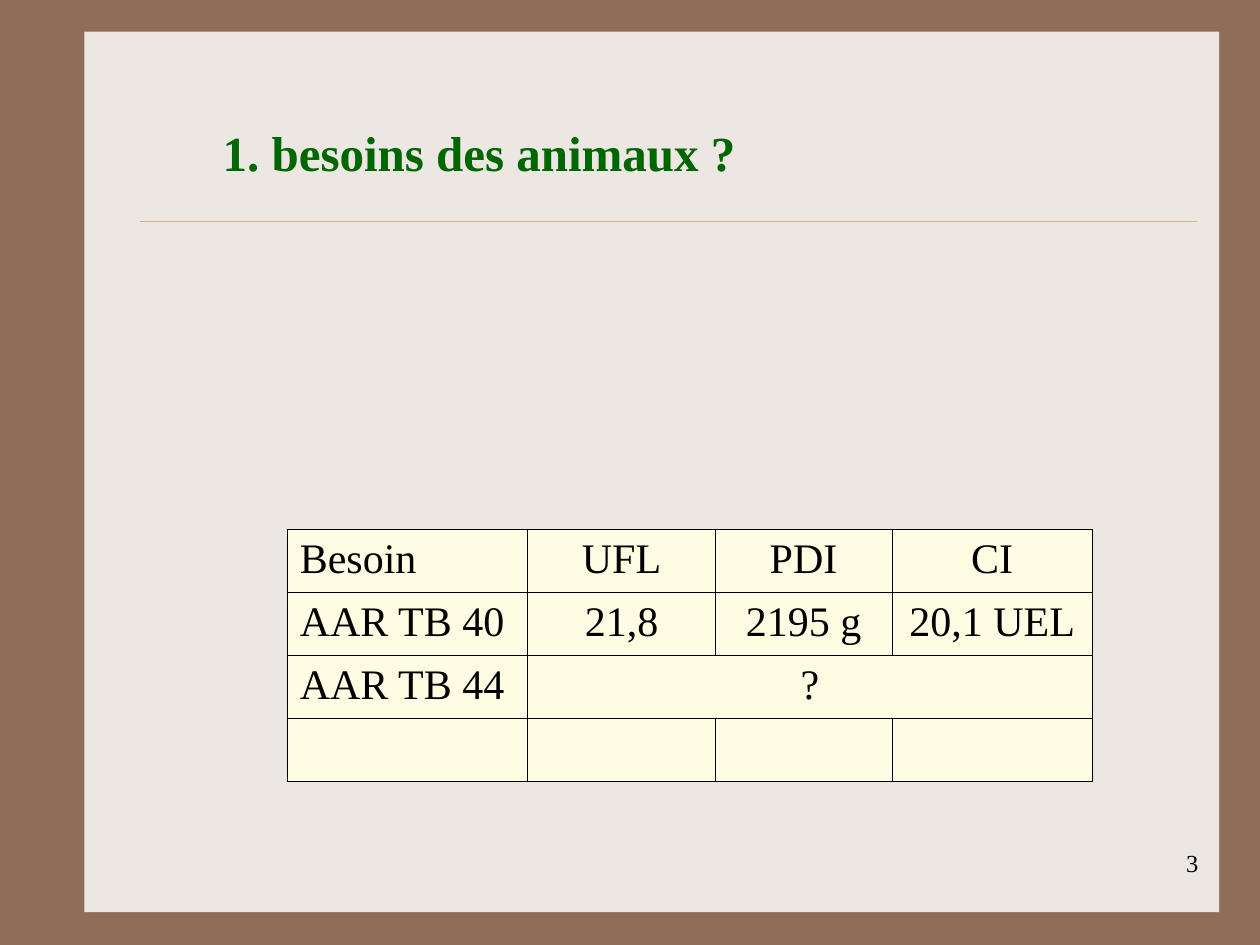
"""Build the slide on animal requirements with its table of needs."""
from lxml import etree
from pptx import Presentation
from pptx.dml.color import RGBColor
from pptx.enum import shapes, text
from pptx.oxml import ns
from pptx.util import Cm, Pt

BROWN = RGBColor(0x90, 0x6D, 0x58)
PAPER = RGBColor(0xED, 0xE7, 0xE3)
GOLD = RGBColor(0xCB, 0xBD, 0x83)
GREEN = RGBColor(0x00, 0x66, 0x00)
BLACK = RGBColor(0x00, 0x00, 0x00)
CREAM = RGBColor(0xFE, 0xFD, 0xE3)
FONT = "Times New Roman"

COLUMN_WIDTHS = (4.85, 3.78, 3.56, 4.04)
ROW_HEIGHT = 1.27
NEEDS = (
    ("Besoin", "UFL", "PDI", "CI"),
    ("AAR TB 40", "21,8", "2195 g", "20,1 UEL"),
    ("AAR TB 44", "?", "", ""),
    ("", "", "", ""),
)


def add_run(paragraph, words, size, color=BLACK, bold=False):
    run = paragraph.add_run()
    run.text = words
    run.font.name = FONT
    run.font.size = Pt(size)
    run.font.bold = bold
    run.font.color.rgb = color


def add_panel(slide, left, top, width, height):
    panel = slide.shapes.add_shape(
        shapes.MSO_SHAPE.RECTANGLE, Cm(left), Cm(top), Cm(width), Cm(height))
    panel.shadow.inherit = False
    panel.fill.solid()
    panel.fill.fore_color.rgb = PAPER
    panel.line.fill.background()


def add_rule(slide, left, right, height):
    rule = slide.shapes.add_connector(
        shapes.MSO_CONNECTOR.STRAIGHT, Cm(left), Cm(height), Cm(right), Cm(height))
    rule.line.color.rgb = GOLD
    rule.line.width = Pt(0.25)
    etree.SubElement(rule._element.spPr, ns.qn("a:effectLst"))


def add_label(slide, left, top, width, height, words, size, align, **style):
    label = slide.shapes.add_textbox(Cm(left), Cm(top), Cm(width), Cm(height))
    label.text_frame.word_wrap = True
    paragraph = label.text_frame.paragraphs[0]
    paragraph.alignment = align
    add_run(paragraph, words, size, **style)


def set_borders(cell):
    properties = cell._tc.get_or_add_tcPr()
    for position, side in enumerate(("lnL", "lnR", "lnT", "lnB")):
        border = etree.Element(ns.qn(f"a:{side}"), w=str(Pt(0.45)))
        fill = etree.SubElement(border, ns.qn("a:solidFill"))
        etree.SubElement(fill, ns.qn("a:srgbClr"), val=str(BLACK))
        properties.insert(position, border)


def add_needs_table(slide, left, top):
    frame = slide.shapes.add_table(
        len(NEEDS), len(COLUMN_WIDTHS), Cm(left), Cm(top),
        Cm(sum(COLUMN_WIDTHS)), Cm(ROW_HEIGHT * len(NEEDS)))
    needs = frame.table
    for column, width in zip(needs.columns, COLUMN_WIDTHS):
        column.width = Cm(width)
    for row, entries in enumerate(NEEDS):
        for column, words in enumerate(entries):
            cell = needs.cell(row, column)
            cell.fill.solid()
            cell.fill.fore_color.rgb = CREAM
            set_borders(cell)
            paragraph = cell.text_frame.paragraphs[0]
            paragraph.alignment = text.PP_ALIGN.CENTER if column else text.PP_ALIGN.JUSTIFY
            if words:
                add_run(paragraph, words, 24)
    needs.cell(2, 1).merge(needs.cell(2, 3))


def main():
    deck = Presentation()
    deck.slide_width, deck.slide_height = Cm(25.4), Cm(19.05)
    slide = deck.slides.add_slide(deck.slide_layouts[6])
    slide.background.fill.solid()
    slide.background.fill.fore_color.rgb = BROWN
    add_panel(slide, 1.7, 0.64, 22.88, 17.75)
    add_rule(slide, 2.82, 24.13, 4.45)
    add_label(slide, 19.13, 16.97, 5.28, 1.27, "3", 14, text.PP_ALIGN.RIGHT)
    add_label(slide, 4.24, 2.34, 19.48, 1.45, "1. besoins des animaux ?", 28,
              text.PP_ALIGN.LEFT, color=GREEN, bold=True)
    add_needs_table(slide, 5.79, 10.67)
    deck.save("out.pptx")


if __name__ == "__main__":
    main()
